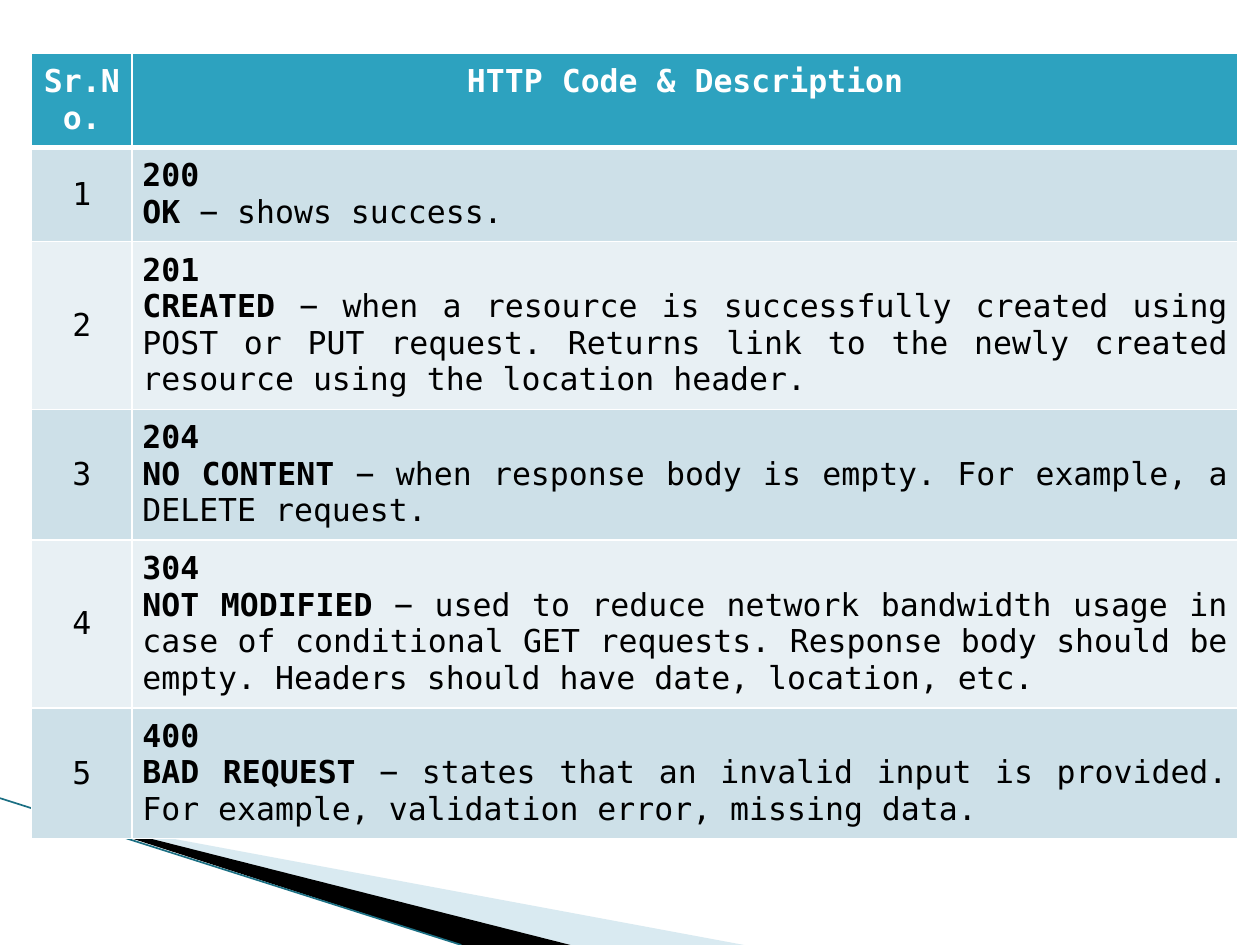
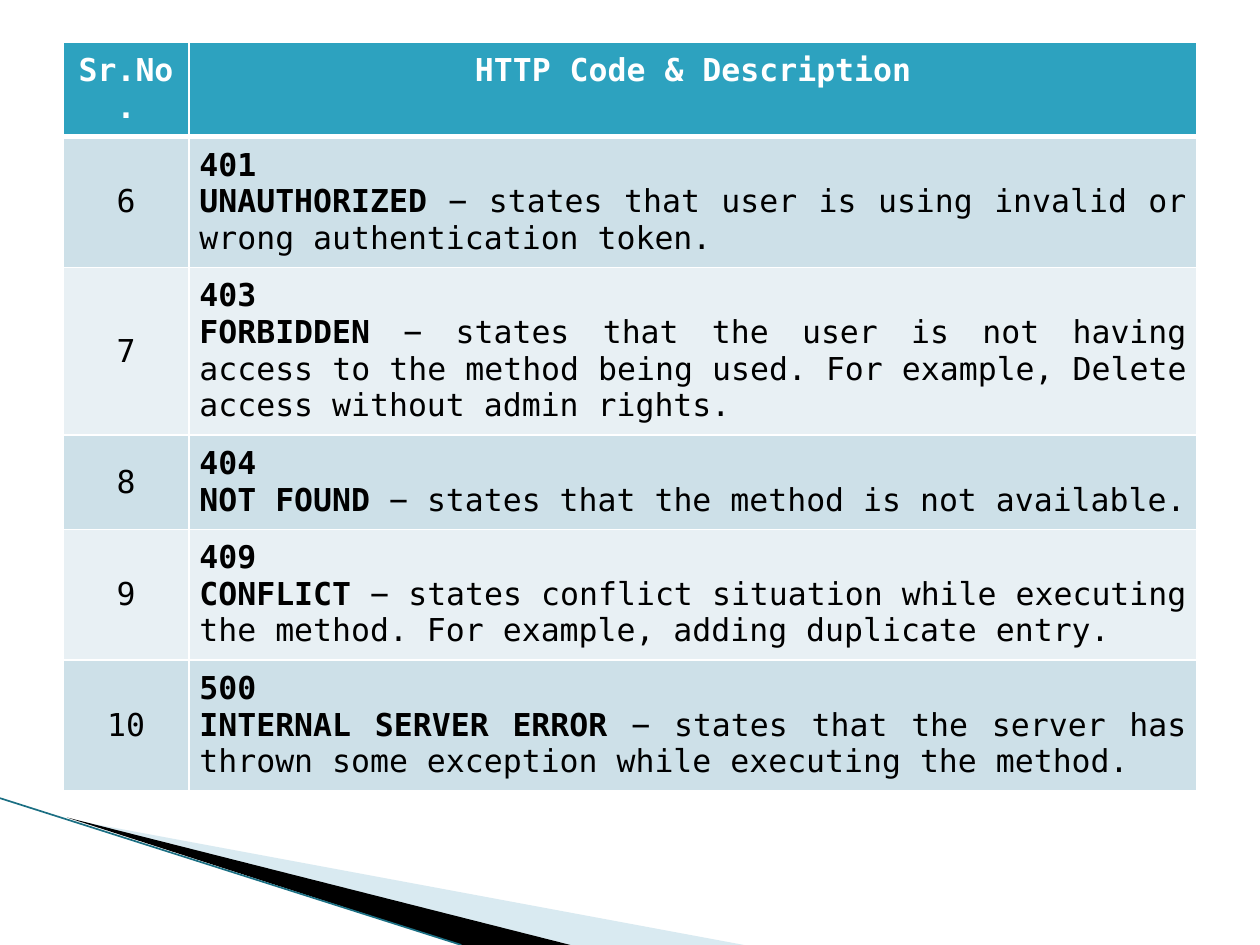
from dataclasses import dataclass

from lxml.etree import SubElement
from pptx import Presentation
from pptx.dml.color import RGBColor as Rgb
from pptx.enum.shapes import MSO_CONNECTOR as Connector
from pptx.enum.text import MSO_ANCHOR as Anchor, PP_ALIGN as Align
from pptx.oxml.ns import qn
from pptx.util import Cm, Pt


@dataclass(frozen=True)
class Theme:
    font: str = "DejaVu Sans Mono"
    text_size: int = 18
    text: str = "000000"
    white: str = "FFFFFF"
    header: str = "2DA2BF"
    bands: tuple = ("CDE0E8", "E8F0F4")
    wedge_pale: str = "A0CBDC"
    wedge_dark: str = "000000"
    edge: str = "1B6F83"
    edge_width: float = 0.95
    border: float = 1
    header_border: float = 3


THEME = Theme()
PAGE_WIDTH, PAGE_HEIGHT = 25.4, 19.05
CELL_MARGIN = 0.21
LINE_HEIGHT = 0.74
DASH = " − "  # begins with a no-break space

HEADINGS = ("Sr.No.", "HTTP Code & Description")

# Each entry: code, name, description, lines of text in its row
SUCCESS_CODES = [
    ("200", "OK", "shows success.", 2),
    ("201", "CREATED", "when a resource is successfully created using POST or PUT request. "
     "Returns link to the newly created resource using the location header.", 4),
    ("204", "NO CONTENT", "when response body is empty. For example, a DELETE request.", 3),
    ("304", "NOT MODIFIED", "used to reduce network bandwidth usage in case of conditional GET "
     "requests. Response body should be empty. Headers should have date, location, etc.", 4),
    ("400", "BAD REQUEST", "states that an invalid input is provided. For example, "
     "validation error, missing data.", 3),
]
ERROR_CODES = [
    ("401", "UNAUTHORIZED", "states that user is using invalid or wrong authentication token.", 3),
    ("403", "FORBIDDEN", "states that the user is not having access to the method being used. "
     "For example, Delete access without admin rights.", 4),
    ("404", "NOT FOUND", "states that the method is not available.", 2),
    ("409", "CONFLICT", "states conflict situation while executing the method. "
     "For example, adding duplicate entry.", 3),
    ("500", "INTERNAL SERVER ERROR", "states that the server has thrown some exception "
     "while executing the method.", 3),
]


def rgb(color):
    return Rgb.from_string(color)


def add_wedge(page, points, color, opacity=100):
    start, *others = [(Cm(x), Cm(y)) for x, y in points]
    builder = page.shapes.build_freeform(*start)
    builder.add_line_segments(others)
    wedge = builder.convert_to_shape()
    wedge.shadow.inherit = False
    wedge.fill.solid()
    wedge.fill.fore_color.rgb = rgb(color)
    wedge.line.fill.background()
    if opacity < 100:
        fill_color = wedge.fill._xPr.find(qn("a:solidFill"))[0]
        SubElement(fill_color, qn("a:alpha"), val=str(opacity * 1000))


def add_corner_wedges(page):
    bottom = PAGE_HEIGHT
    add_wedge(page, [(1.4, 16.52), (15, bottom), (11.5, bottom)], THEME.wedge_pale, 40)
    add_wedge(page, [(1.35, 16.48), (11.5, bottom), (9.3, bottom)], THEME.wedge_dark)
    edge = page.shapes.add_connector(
        Connector.STRAIGHT, Cm(0), Cm(16.09), Cm(9.3), Cm(bottom))
    edge.line.color.rgb = rgb(THEME.edge)
    edge.line.width = Pt(THEME.edge_width)
    SubElement(edge._element.spPr, qn("a:effectLst"))


def style_cell(cell, fill, top=THEME.border, bottom=THEME.border):
    properties = cell._tc.get_or_add_tcPr()
    widths = {"lnL": THEME.border, "lnR": THEME.border, "lnT": top, "lnB": bottom}
    for side, width in widths.items():
        line = SubElement(properties, qn(f"a:{side}"), w=str(Pt(width)))
        SubElement(SubElement(line, qn("a:solidFill")), qn("a:srgbClr"), val=THEME.white)
    cell.fill.solid()
    cell.fill.fore_color.rgb = rgb(fill)
    cell.margin_left = cell.margin_right = Cm(CELL_MARGIN)
    cell.margin_top = cell.margin_bottom = Cm(CELL_MARGIN)


def write_spans(para, spans, align, color=THEME.text):
    """Add (text, bold) spans to the paragraph."""
    para.alignment = align
    for text, bold in spans:
        span = para.add_run()
        span.text = text
        span.font.name = THEME.font
        span.font.size = Pt(THEME.text_size)
        span.font.bold = bold
        span.font.color.rgb = rgb(color)


def row_height(lines):
    return Cm(2 * CELL_MARGIN + LINE_HEIGHT * lines)


def add_code_table(page, left, top, column_widths, codes, first_number):
    lines = [2] + [entry[-1] for entry in codes]
    heights = [row_height(count) for count in lines]
    table = page.shapes.add_table(
        len(lines), len(column_widths), Cm(left), Cm(top),
        Cm(sum(column_widths)), sum(heights)).table
    for column, width in zip(table.columns, column_widths):
        column.width = Cm(width)
    for row, height in zip(table.rows, heights):
        row.height = height

    for column, heading in enumerate(HEADINGS):
        cell = table.cell(0, column)
        style_cell(cell, THEME.header, bottom=THEME.header_border)
        write_spans(cell.text_frame.paragraphs[0], [(heading, True)], Align.CENTER, THEME.white)

    for index, (code, name, description, _) in enumerate(codes):
        number_cell, code_cell = table.rows[index + 1].cells
        for cell in (number_cell, code_cell):
            style_cell(cell, THEME.bands[index % 2],
                       top=THEME.border if index else THEME.header_border)
        number_cell.vertical_anchor = Anchor.MIDDLE
        write_spans(number_cell.text_frame.paragraphs[0],
                    [(str(first_number + index), False)], Align.CENTER)
        frame = code_cell.text_frame
        write_spans(frame.paragraphs[0], [(code, True)], Align.JUSTIFY)
        write_spans(frame.add_paragraph(),
                    [(name, True), (DASH + description, False)], Align.JUSTIFY)


def add_code_page(deck, left, top, column_widths, codes, first_number):
    page = deck.slides.add_slide(deck.slide_layouts[6])
    add_corner_wedges(page)
    add_code_table(page, left, top, column_widths, codes, first_number)


def main():
    deck = Presentation()
    deck.slide_width, deck.slide_height = Cm(PAGE_WIDTH), Cm(PAGE_HEIGHT)
    add_code_page(deck, 0.64, 1.07, (2.02, 22.3), SUCCESS_CODES, 1)
    add_code_page(deck, 1.27, 0.85, (2.54, 20.32), ERROR_CODES, 1 + len(SUCCESS_CODES))
    deck.save("out.pptx")


if __name__ == "__main__":
    main()
